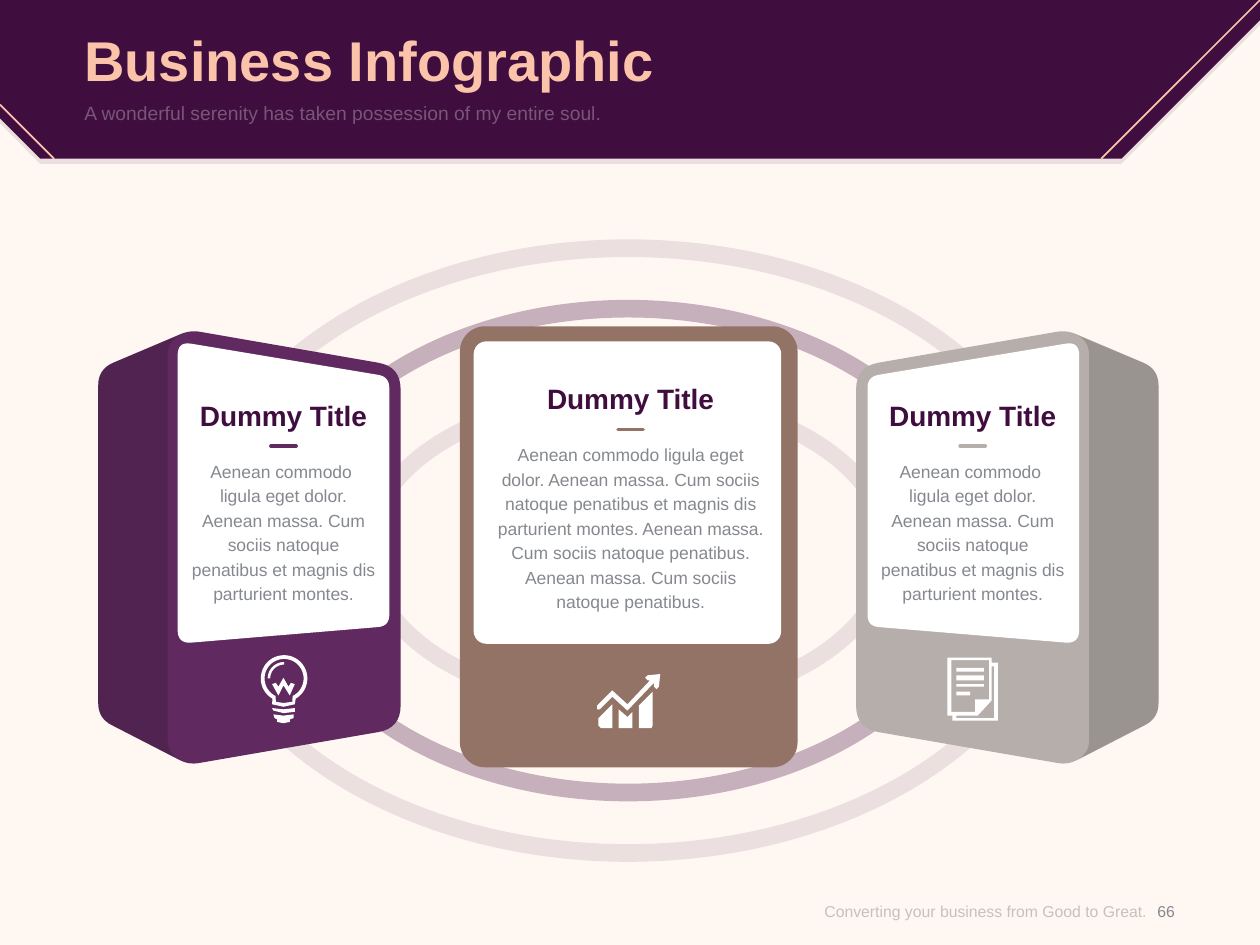
from math import cos, hypot, radians, sin

from lxml import etree
from pptx import Presentation
from pptx import util as u
from pptx.dml.color import RGBColor
from pptx.enum import shapes, text
from pptx.oxml.ns import qn

CREAM = RGBColor(0xFF, 0xF7, 0xF2)
PLUM = RGBColor(0x3F, 0x0D, 0x3E)
PEACH = RGBColor(0xFB, 0xC4, 0xAA)
PURPLE = RGBColor(0x60, 0x2A, 0x60)
BROWN = RGBColor(0x92, 0x73, 0x65)
TAUPE = RGBColor(0xB6, 0xAE, 0xAB)
GRAY = RGBColor(0x85, 0x89, 0x8F)
FOOTER_GRAY = RGBColor(0x8C, 0x8C, 0x8C)
WHITE = RGBColor(0xFF, 0xFF, 0xFF)
BLACK = RGBColor(0, 0, 0)

LEFT, CENTER, RIGHT = text.PP_ALIGN.LEFT, text.PP_ALIGN.CENTER, text.PP_ALIGN.RIGHT
TOP, MIDDLE = text.MSO_ANCHOR.TOP, text.MSO_ANCHOR.MIDDLE
MIRROR_SUM = 9.975  # x of a point plus x of its mirrored point


def fade(element, opacity):
    """Make the first solid colour inside an element partly transparent."""
    if opacity < 100:
        color = element.find(".//" + qn("a:srgbClr"))
        etree.SubElement(color, qn("a:alpha")).set("val", str(opacity * 1000))


def mirror(points):
    return [(MIRROR_SUM - x, y) for x, y in points]


def arc(x, y, radius, start, end, steps=40):
    angles = [radians(start + (end - start) * i / steps) for i in range(steps + 1)]
    return [(x + radius * cos(a), y + radius * sin(a)) for a in angles]


def rounded(corners, steps=8):
    """Outline through (x, y, cut) corners, each rounded by its cut length."""
    points = []
    for i, (x, y, cut) in enumerate(corners):
        ends = []
        for nx, ny, _ in (corners[i - 1], corners[(i + 1) % len(corners)]):
            share = cut / hypot(nx - x, ny - y)
            ends.append((x + (nx - x) * share, y + (ny - y) * share))
        (ax, ay), (bx, by) = ends
        for t in (step / steps for step in range(steps + 1)):
            a, b, c = (1 - t) ** 2, 2 * t * (1 - t), t * t
            points.append((a * ax + b * x + c * bx, a * ay + b * y + c * by))
    return points


class SlideBuilder:
    font = "Arial"

    def __init__(self, slide):
        self.slide = slide
        slide.background.fill.solid()
        slide.background.fill.fore_color.rgb = CREAM

    def paint(self, shape, color, opacity=100):
        shape.shadow.inherit = False
        shape.fill.solid()
        shape.fill.fore_color.rgb = color
        shape.line.fill.background()
        fade(shape.element, opacity)

    def outline(self, contours, color, opacity=100):
        builder = None
        for contour in contours:
            start, *rest = [(u.Inches(x), u.Inches(y)) for x, y in contour]
            if builder is None:
                builder = self.slide.shapes.build_freeform(*start)
            else:
                builder.move_to(*start)
            builder.add_line_segments(rest, close=True)
        self.paint(builder.convert_to_shape(), color, opacity)

    def preset(self, kind, box, edge, color, opacity=100):
        """Preset shape whose adjustment is a length in inches."""
        shape = self.slide.shapes.add_shape(kind, *map(u.Inches, box))
        shape.adjustments[0] = edge / min(box[2:])
        self.paint(shape, color, opacity)

    def line(self, x1, y1, x2, y2, color, width, cap="flat"):
        connector = self.slide.shapes.add_connector(
            shapes.MSO_CONNECTOR.STRAIGHT, *map(u.Inches, (x1, y1, x2, y2)))
        connector.line.color.rgb = color
        connector.line.width = u.Pt(width)
        properties = connector.element.spPr
        properties.find(qn("a:ln")).set("cap", cap)
        etree.SubElement(properties, qn("a:effectLst"))

    def text(self, content, box, size, color, align=LEFT, anchor=TOP,
             bold=False, opacity=100, spacing=None):
        frame = self.slide.shapes.add_textbox(*map(u.Inches, box)).text_frame
        frame.word_wrap = True
        frame.vertical_anchor = anchor
        frame.margin_left = frame.margin_right = frame.margin_top = frame.margin_bottom = 0
        paragraph = frame.paragraphs[0]
        paragraph.text = content
        paragraph.alignment = align
        if spacing:
            paragraph.line_spacing = u.Pt(spacing)
        for run in paragraph.runs:
            run.font.name = self.font
            run.font.size = u.Pt(size)
            run.font.bold = bold
            run.font.color.rgb = color
            fade(run.font._element, opacity)

    def card_text(self, left, top, width, body, body_height, accent):
        middle = left + width / 2
        self.text(body, (left, top + 0.47, width, body_height), 10, GRAY, CENTER, spacing=14)
        self.line(middle - 0.1, top + 0.38, middle + 0.1, top + 0.38, accent, 2, "rnd")
        self.text("Dummy Title", (left, top, width, 0.27), 16, PLUM, CENTER, bold=True)


def build():
    presentation = Presentation()
    presentation.slide_width, presentation.slide_height = u.Inches(10), u.Inches(7.5)
    page = SlideBuilder(presentation.slides.add_slide(presentation.slide_layouts[6]))

    # Header band with its soft offset edge
    band = [(0, 0), (10, 0), (10, 0.16), (8.9, 1.26), (0.32, 1.26), (0, 0.94)]
    page.outline([[(x, y + 0.04) for x, y in band]], PLUM, 10)
    page.outline([band], PLUM)
    page.line(10, 0, 8.74, 1.26, PEACH, 1)
    page.line(0, 0.83, 0.43, 1.26, PEACH, 1)

    # Concentric rings
    for width, height, opacity in ((7.02, 4.94, 10), (4.27, 2.61, 10), (5.65, 3.98, 30)):
        box = (4.985 - width / 2, 4.37 - height / 2, width, height)
        page.preset(shapes.MSO_SHAPE.DONUT, box, 0.14, PLUM, opacity)

    # Centre card
    page.preset(shapes.MSO_SHAPE.ROUNDED_RECTANGLE, (3.65, 2.59, 2.68, 3.5), 0.2, BROWN)
    page.preset(shapes.MSO_SHAPE.ROUNDED_RECTANGLE, (3.76, 2.71, 2.44, 2.4), 0.1, WHITE)

    # Side cards: body, white panel and shaded side face
    body = rounded([(3.18, 2.91, 0.18), (1.51, 2.62, 0.08), (0.78, 2.93, 0.13),
                    (0.78, 5.7, 0.12), (1.5, 6.07, 0.08), (3.18, 5.78, 0.18)])
    panel = rounded([(1.41, 2.71, 0.11), (3.09, 2.99, 0.09),
                     (3.09, 4.97, 0.09), (1.41, 5.11, 0.11)])
    face = rounded([(1.45, 2.65, 0), (0.78, 2.93, 0.13), (0.78, 5.7, 0.12),
                    (1.42, 6.03, 0), (1.33, 5.97, 0.1), (1.33, 2.7, 0.12)])
    for side, color in ((list, PURPLE), (mirror, TAUPE)):
        page.outline([side(body)], color)
        page.outline([side(panel)], WHITE)
        page.outline([side(face)], BLACK, 15)

    # Document icon
    bars = [(5.3, 5.33, 7.81), (5.36, 5.4, 7.81), (5.43, 5.45, 7.81), (5.49, 5.52, 7.7)]
    page.outline([
        *([(7.59, top), (end, top), (end, bottom), (7.59, bottom)] for top, bottom, end in bars),
        [(7.87, 5.26), (7.87, 5.22), (7.52, 5.22), (7.52, 5.68), (7.56, 5.68),
         (7.56, 5.72), (7.92, 5.72), (7.92, 5.26)],
        [(7.55, 5.65), (7.55, 5.24), (7.85, 5.24), (7.85, 5.55), (7.74, 5.55), (7.74, 5.65)],
        [(7.89, 5.29), (7.89, 5.7), (7.59, 5.7), (7.59, 5.68), (7.76, 5.68),
         (7.87, 5.56), (7.87, 5.29)],
    ], WHITE)

    # Growth chart icon
    page.outline([
        [(4.75, 5.7), (4.86, 5.59), (4.86, 5.78), (4.77, 5.78), (4.75, 5.76)],
        [(4.91, 5.63), (4.98, 5.69), (5.02, 5.65), (5.02, 5.78), (4.91, 5.78)],
        [(5.07, 5.6), (5.18, 5.49), (5.18, 5.76), (5.17, 5.78), (5.07, 5.78)],
        [(5.24, 5.35), (5.23, 5.45), (5.21, 5.47), (5.19, 5.45), (5.19, 5.42),
         (4.98, 5.64), (4.86, 5.53), (4.76, 5.63), (4.74, 5.63), (4.74, 5.6),
         (4.86, 5.48), (4.98, 5.59), (5.16, 5.4), (5.14, 5.4), (5.12, 5.38), (5.14, 5.36)],
    ], WHITE)

    # Light bulb icon
    x, y = 2.255, 5.385
    page.outline([
        arc(x, y, 0.185, 120, 420) + [(2.34, 5.59), (2.25, 5.61), (2.16, 5.59)],
        arc(x, y, 0.155, 116, 424) + [(2.32, 5.57), (2.25, 5.58), (2.19, 5.57)],
        arc(x, y, 0.13, 180, 270) + arc(x, y, 0.11, 270, 180),
        [(2.16, 5.43), (2.19, 5.42), (2.21, 5.45), (2.25, 5.38), (2.29, 5.45),
         (2.31, 5.42), (2.34, 5.43), (2.3, 5.52), (2.25, 5.44), (2.21, 5.52)],
        [(2.16, 5.62), (2.25, 5.63), (2.34, 5.62), (2.34, 5.65), (2.25, 5.66), (2.17, 5.64)],
        [(2.17, 5.67), (2.25, 5.68), (2.33, 5.67), (2.33, 5.7), (2.3, 5.71),
         (2.3, 5.73), (2.25, 5.74), (2.2, 5.73), (2.2, 5.71), (2.18, 5.7)],
    ], WHITE)

    # Heading and footer
    page.text("Business Infographic", (0.67, 0.14, 8.66, 0.65), 32, PEACH,
              anchor=MIDDLE, bold=True)
    page.text("A wonderful serenity has taken possession of my entire soul.",
              (0.67, 0.8, 8.66, 0.39), 11, WHITE, opacity=30)
    page.text("Converting your business from Good to Great.", (6.04, 6.96, 3.06, 0.54),
              9, FOOTER_GRAY, RIGHT, MIDDLE, opacity=50)
    page.text("66", (9.02, 6.96, 0.47, 0.54), 9, GRAY, CENTER, MIDDLE)

    # Card texts
    page.card_text(3.94, 3.03, 2.13,
                   "Aenean commodo ligula eget dolor. Aenean massa. Cum sociis natoque "
                   "penatibus et magnis dis parturient montes. Aenean massa. Cum sociis "
                   "natoque penatibus. Aenean massa. Cum sociis natoque penatibus.",
                   1.37, BROWN)
    for left, accent in ((1.51, PURPLE), (6.98, TAUPE)):
        page.card_text(left, 3.16, 1.48,
                       "Aenean commodo \vligula eget dolor. Aenean massa. Cum sociis natoque "
                       "penatibus et magnis dis parturient montes.", 1.18, accent)

    presentation.save("out.pptx")


if __name__ == "__main__":
    build()
